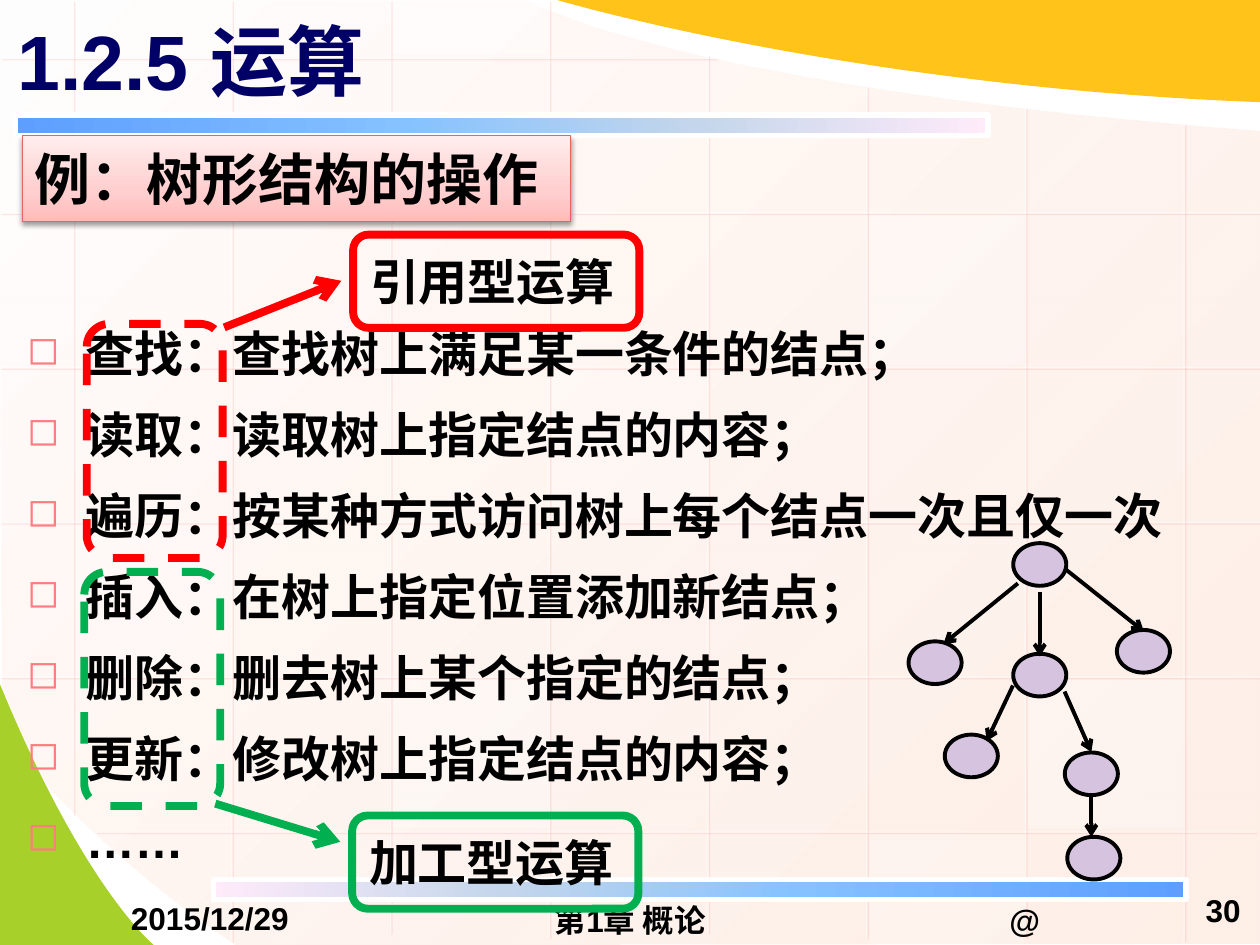
from dataclasses import dataclass
from typing import NamedTuple

from lxml.etree import SubElement
from pptx import Presentation
from pptx.dml.color import RGBColor
from pptx.enum.dml import MSO_LINE
from pptx.enum.shapes import MSO_CONNECTOR, MSO_SHAPE as Preset
from pptx.enum.text import MSO_ANCHOR as Anchor, PP_ALIGN as Align
from pptx.oxml.ns import qn
from pptx.util import Cm, Pt


@dataclass(frozen=True)
class Theme:
    font: str = "Arial"
    text: str = "000000"
    title: str = "000066"
    bullet: str = "FF7C80"
    white: str = "FFFFFF"
    yellow: str = "FFC319"
    leaf: str = "A8D02A"
    grid_shadow: str = "FF7575"
    node: str = "D6C3DF"
    red: str = "FF0000"
    green: str = "00B050"
    banner_line: str = "E56464"
    title_size: int = 44
    banner_size: int = 32
    body_size: int = 28
    footer_size: int = 18


class Box(NamedTuple):
    left: float
    top: float
    width: float
    height: float


class Stop(NamedTuple):
    position: int
    color: str
    opacity: int = 100


class Segment(NamedTuple):
    x1: float
    y1: float
    x2: float
    y2: float


class Tile(NamedTuple):
    column: int
    row: int
    opacity: int


class OperationGroup(NamedTuple):
    label: str
    color: str
    label_box: Box
    arrow: Segment
    frame: Box


THEME = Theme()
SLIDE_WIDTH, SLIDE_HEIGHT = 25.4, 19.05
COLUMN_STEP, ROW_STEP = 3.2, 3.12
PAGE_GRADIENT = [Stop(0, "FFFEFE"), Stop(100, "FEE9DE", 70)]
BAR_GRADIENT = [Stop(0, "5E9EFF"), Stop(40, "85C2FF"), Stop(70, "C4D6EB"), Stop(100, "FFEBFA")]
BANNER_GRADIENT = [Stop(0, "FFBBBB"), Stop(35, "FFCFCF"), Stop(100, "FFEDED")]
GRID_EXTENTS = [(0, 16.41), (0, 18.97), (0, 18.8), (0, 18.9),
                (1.09, 18.8), (1.73, 18.9), (2.16, 18.9), (2.49, 18.97)]
GRID_ROWS = [(0, 14.43)] + [(0, 25.43)] * 4 + [(1.93, 25.32)]
TILES = [Tile(3, 1, 25), Tile(6, 3, 30), Tile(0, 2, 20), Tile(5, 4, 20),
         Tile(2, -2, 40), Tile(2, 3, 30), Tile(5, 0, 30)]
OPERATIONS = ["查找：查找树上满足某一条件的结点；", "读取：读取树上指定结点的内容；",
              "遍历：按某种方式访问树上每个结点一次且仅一次", "插入：在树上指定位置添加新结点；",
              "删除：删去树上某个指定的结点；", "更新：修改树上指定结点的内容；", "……"]
NODE_CENTERS = [(20.96, 11.38), (23.05, 13.13), (20.96, 13.61), (18.85, 13.36),
                (22, 15.6), (19.58, 15.24), (22.05, 17.3)]
TREE_EDGES = [Segment(20.96, 11.94, 20.96, 13.23), Segment(21.46, 11.46, 23.06, 12.73),
              Segment(20.52, 11.76, 19.02, 12.98), Segment(21.46, 13.94, 22, 15.16),
              Segment(20.42, 13.82, 19.89, 14.94), Segment(22, 16.03, 22, 16.87)]
GROUPS = [
    OperationGroup("引用型运算", THEME.red, Box(7.12, 4.73, 5.77, 1.88),
                   Segment(4.52, 6.6, 6.88, 5.66), Box(1.75, 6.53, 2.74, 4.72)),
    OperationGroup("加工型运算", THEME.green, Box(7.1, 16.44, 5.77, 1.88),
                   Segment(4.34, 16.2, 6.86, 16.97), Box(1.7, 11.53, 2.74, 4.72)),
]


def add_color(parent, color: str, opacity: int = 100) -> None:
    element = SubElement(parent, qn("a:srgbClr"), val=color)
    if opacity < 100:
        SubElement(element, qn("a:alpha"), val=str(opacity * 1000))


def set_fill(shape, color: str, opacity: int = 100) -> None:
    shape.fill.solid()
    shape.fill.fore_color.rgb = RGBColor.from_string(color)
    if opacity < 100:
        color_element = shape.fill._xPr.find(qn("a:solidFill"))[0]
        SubElement(color_element, qn("a:alpha"), val=str(opacity * 1000))


def set_gradient(shape, stops: list[Stop], angle: int) -> None:
    """Fill with a linear gradient; the angle runs clockwise in degrees."""
    shape.fill.gradient()
    gradient = shape.fill._xPr.find(qn("a:gradFill"))
    for child in list(gradient):
        gradient.remove(child)
    stop_list = SubElement(gradient, qn("a:gsLst"))
    for stop in stops:
        element = SubElement(stop_list, qn("a:gs"), pos=str(stop.position * 1000))
        add_color(element, stop.color, stop.opacity)
    SubElement(gradient, qn("a:lin"), ang=str(angle * 60000), scaled="0")


def set_line(shape, color: str, width: float) -> None:
    shape.line.color.rgb = RGBColor.from_string(color)
    shape.line.width = Pt(width)


def add_shadow(effects, color: str, opacity: int, blur: float, distance: float, angle: int) -> None:
    shadow = SubElement(effects, qn("a:outerShdw"), blurRad=str(Pt(blur)), dist=str(Pt(distance)),
                        dir=str(angle * 60000), algn="t", rotWithShape="0")
    add_color(shadow, color, opacity)


def add_preset(slide, preset, box: Box):
    shape = slide.shapes.add_shape(preset, *map(Cm, box))
    shape.shadow.inherit = False
    shape.fill.background()
    shape.line.fill.background()
    return shape


def add_line(slide, segment: Segment, color: str, width: float, arrow: bool = False):
    """Draw a straight line and return its connector and effect list."""
    line = slide.shapes.add_connector(MSO_CONNECTOR.STRAIGHT, *map(Cm, segment))
    set_line(line, color, width)
    if arrow:
        SubElement(line.line._get_or_add_ln(), qn("a:tailEnd"), type="arrow")
    return line, SubElement(line._element.spPr, qn("a:effectLst"))


def add_outline(slide, start, *steps):
    """Draw a closed outline; a step of one point is a line, of three points a Bezier curve."""
    builder = slide.shapes.build_freeform(*map(Cm, start), scale=1.0)
    builder.add_line_segments([(Cm(x), Cm(y)) for step in steps for x, y in step], close=True)
    shape = builder.convert_to_shape()
    lines = iter(list(shape._element.iter(qn("a:lnTo"))))
    for step in steps:
        parts = [next(lines) for _ in step]
        if len(parts) == 3:
            bezier = parts[0].makeelement(qn("a:cubicBezTo"))
            parts[0].addprevious(bezier)
            for part in parts:
                bezier.append(part[0])
                part.getparent().remove(part)
    shape.shadow.inherit = False
    shape.line.fill.background()
    return shape


def write_text(shape, *lines: str, size: int, color: str = THEME.text, align=Align.LEFT,
               anchor=Anchor.MIDDLE, wrap: bool = True, margin: float = 0.13, top: float = 0,
               right: float = 0.25, bullet: str = "", indent: float = 0, spacing: float = 1.0,
               before: float = 0) -> None:
    frame = shape.text_frame
    frame.word_wrap, frame.vertical_anchor = wrap, anchor
    frame.margin_top, frame.margin_bottom = Cm(top or margin), Cm(margin)
    frame.margin_right = Cm(right)
    for index, line in enumerate(lines):
        paragraph = frame.add_paragraph() if index else frame.paragraphs[0]
        paragraph.text, paragraph.alignment, paragraph.line_spacing = line, align, spacing
        paragraph.space_before = Pt(before if index else 0)
        if bullet:
            properties = paragraph._p.get_or_add_pPr()
            properties.set("marL", str(Cm(indent)))
            properties.set("indent", str(-Cm(indent)))
            add_color(SubElement(properties, qn("a:buClr")), THEME.bullet)
            SubElement(properties, qn("a:buSzPct"), val="80000")
            SubElement(properties, qn("a:buChar"), char=bullet)
        font = paragraph.runs[0].font
        font.name, font.size, font.bold = THEME.font, Pt(size), True
        font.color.rgb = RGBColor.from_string(color)


def add_text(slide, box: Box, *lines: str, **text_format) -> None:
    write_text(slide.shapes.add_textbox(*map(Cm, box)), *lines, **text_format)


def draw_background(slide) -> None:
    page = add_outline(slide, (25.43, 2.64), [(25.43, 10.85), (25.43, 19.02), (25.43, 19.02)],
                       [(4.75, 19.05)], [(1.4, 16.76), (0.03, 14.73), (0.05, 14.73)],
                       [(-0.03, -0.03)], [(10.69, 0.03)],
                       [(10.69, 0.03), (13.64, 1.75), (25.43, 2.64)])
    set_gradient(page, PAGE_GRADIENT, 45)
    leaf = add_outline(slide, (-0.03, 13.72), [(-0.03, 16.38), (-0.03, 19.05), (-0.03, 19.05)],
                       [(3.1, 19.05)], [(3.1, 19.05), (1.68, 17.91), (-0.03, 13.72)])
    set_fill(leaf, THEME.leaf)

    columns = [Segment(1.47 + COLUMN_STEP * i, top, 1.47 + COLUMN_STEP * i, bottom)
               for i, (top, bottom) in enumerate(GRID_EXTENTS)]
    rows = [Segment(right, 1.17 + ROW_STEP * i, left, 1.17 + ROW_STEP * i)
            for i, (left, right) in enumerate(GRID_ROWS)]
    for segment in columns + rows:
        line, effects = add_line(slide, segment, THEME.white, 0.75)
        color_element = line.line._get_or_add_ln().find(qn("a:solidFill"))[0]
        SubElement(color_element, qn("a:alpha"), val="50000")
        add_shadow(effects, THEME.grid_shadow, 33, 0, 1.4, 45)
    for tile in TILES:
        top = 4.34 + ROW_STEP * tile.row
        bottom = min(top + 3, SLIDE_HEIGHT)
        top = max(top, 0)
        box = Box(1.52 + COLUMN_STEP * tile.column, top, 3.12, bottom - top)
        set_fill(add_preset(slide, Preset.RECTANGLE, box), THEME.white, tile.opacity)

    corner = add_outline(slide, (25.4, 2.06), [(25.4, 1.02), (25.4, 0), (25.4, 0)],
                         [(11.23, 0)], [(11.23, 0), (17.12, 1.75), (25.4, 2.06)])
    set_fill(corner, THEME.yellow)
    for left, top, rotation in ((0.31, 2.32, 0), (4.3, 17.73, 180)):
        bar = add_preset(slide, Preset.RECTANGLE, Box(left, top, 19.61, 0.41))
        bar.rotation = rotation
        set_gradient(bar, BAR_GRADIENT, 0)
        set_line(bar, THEME.white, 3)


def draw_footer(slide) -> None:
    for text, box in (("@", Box(17.7, 18.16, 5.92, 0.76)),
                      ("2015/12/29", Box(1.27, 18.13, 5.92, 0.76)),
                      ("第1章 概论", Box(8.68, 18.16, 8.05, 0.76))):
        add_text(slide, box, text, size=THEME.footer_size, align=Align.CENTER, margin=0)
    add_text(slide, Box(23.83, 17.73, 1.68, 1.24), "30", size=THEME.footer_size,
             align=Align.RIGHT, right=0.5)


def draw_tree(slide) -> None:
    width, height = 0.86, 1.07
    for x, y in NODE_CENTERS:
        node = add_preset(slide, Preset.OVAL, Box(x - width / 2, y - height / 2, width, height))
        node.rotation = 90
        set_fill(node, THEME.node)
        set_line(node, THEME.text, 2.25)
    for edge in TREE_EDGES:
        add_line(slide, edge, THEME.text, 2.25, arrow=True)


def draw_group(slide, group: OperationGroup) -> None:
    label = add_preset(slide, Preset.ROUNDED_RECTANGLE, group.label_box)
    set_line(label, group.color, 4.5)
    write_text(label, group.label, size=THEME.body_size)
    add_line(slide, group.arrow, group.color, 4.5, arrow=True)
    frame = add_preset(slide, Preset.ROUNDED_RECTANGLE, group.frame)
    set_line(frame, group.color, 4.5)
    frame.line.dash_style = MSO_LINE.DASH


def draw_banner(slide) -> None:
    banner = add_preset(slide, Preset.RECTANGLE, Box(0.45, 2.73, 11.05, 1.73))
    set_gradient(banner, BANNER_GRADIENT, 270)
    set_line(banner, THEME.banner_line, 0.75)
    add_shadow(banner._element.spPr.find(qn("a:effectLst")), THEME.text, 38, 3.1, 1.6, 90)
    write_text(banner, "例：树形结构的操作", size=THEME.banner_size, wrap=False)


def main() -> None:
    presentation = Presentation()
    presentation.slide_width, presentation.slide_height = Cm(SLIDE_WIDTH), Cm(SLIDE_HEIGHT)
    slide = presentation.slides.add_slide(presentation.slide_layouts[6])
    draw_background(slide)
    add_text(slide, Box(0.3, 2.72, 24.61, 14.61), *OPERATIONS, size=THEME.body_size, top=3.56,
             anchor=Anchor.TOP, bullet="◻", indent=1.18, spacing=1.2, before=6)
    draw_footer(slide)
    draw_tree(slide)
    for group in GROUPS:
        draw_group(slide, group)
    draw_banner(slide)
    add_text(slide, Box(0.1, -0.08, 22.86, 2.57), "1.2.5 运算",
             size=THEME.title_size, color=THEME.title)
    presentation.save("out.pptx")


if __name__ == "__main__":
    main()
